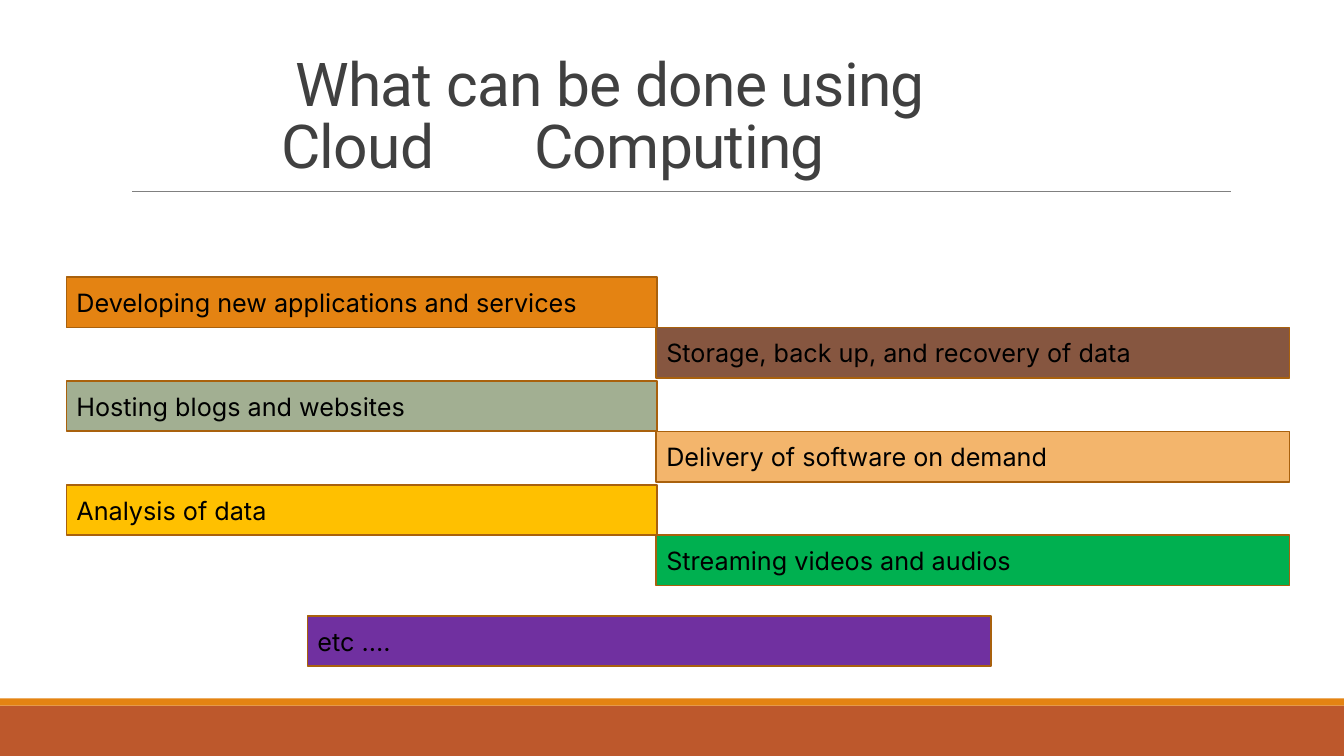
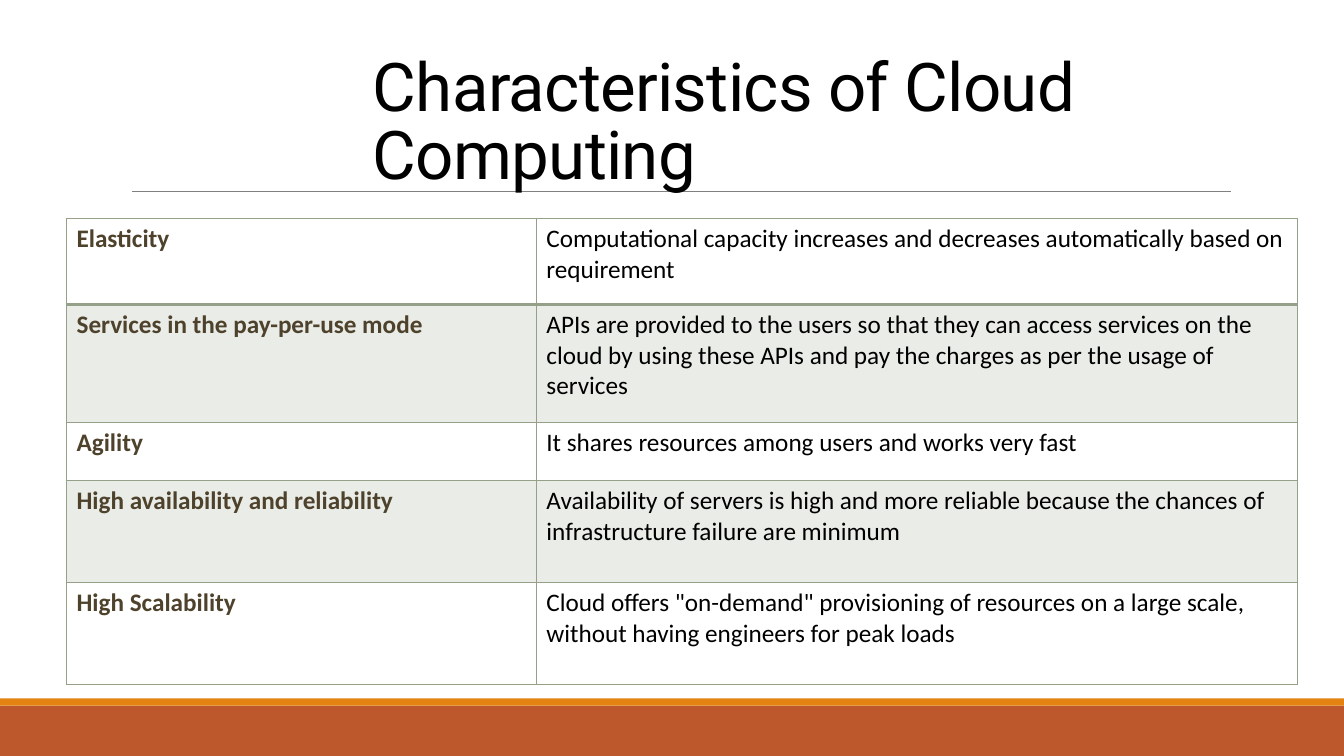
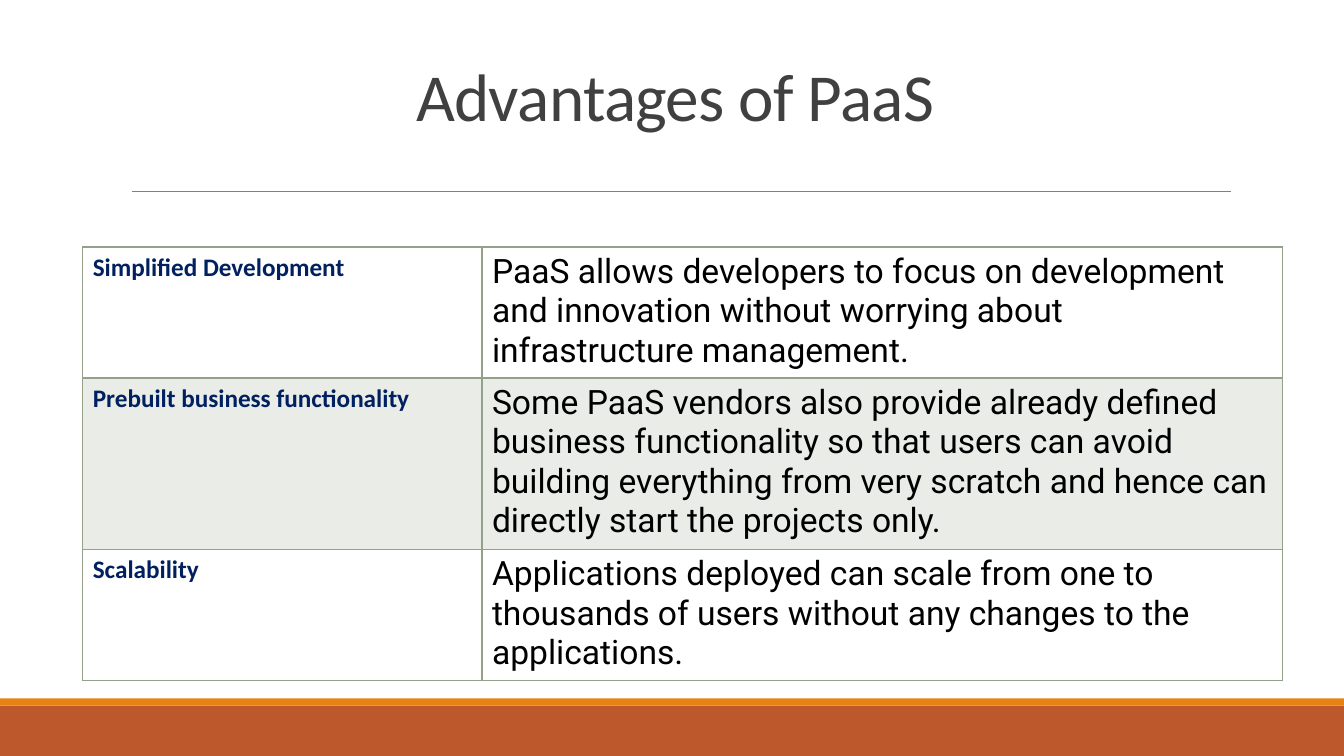
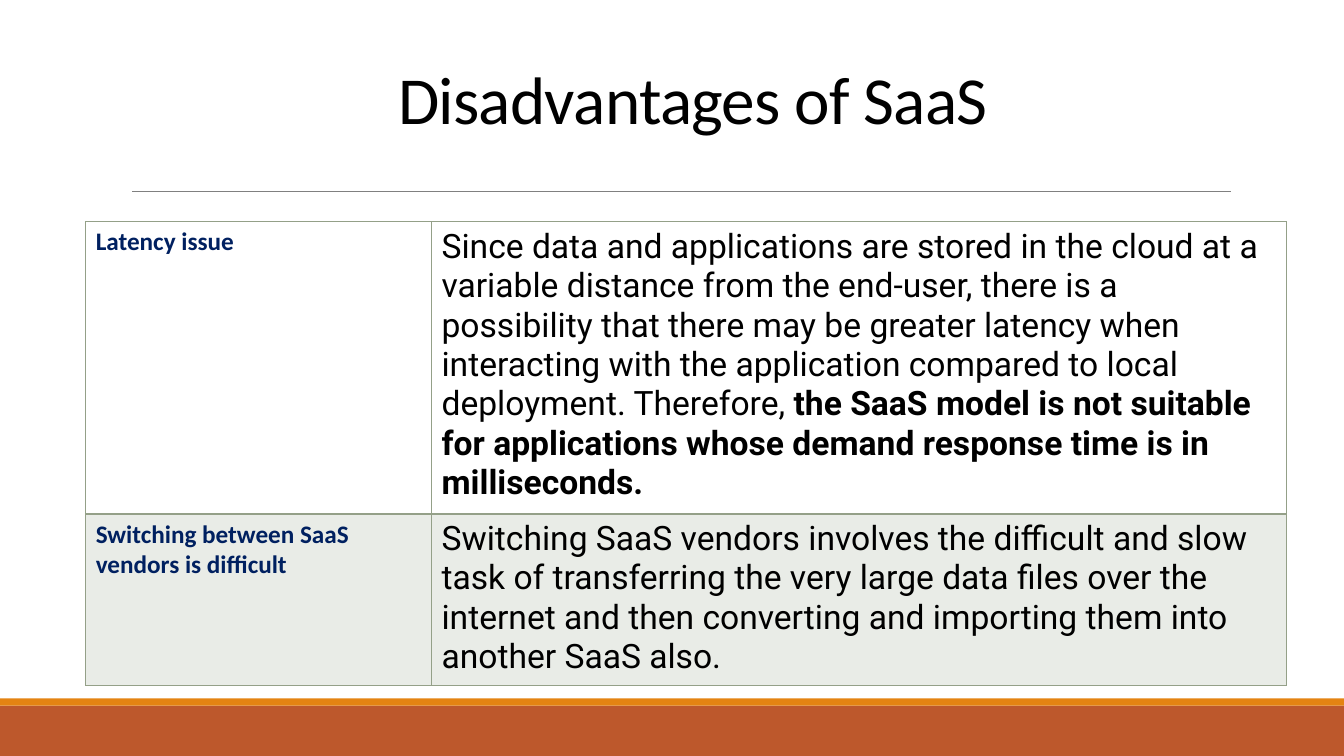
import pptx
import pptx.dml.color
import pptx.enum.shapes
import pptx.enum.text
import pptx.oxml.ns
import pptx.util
import lxml.etree


class Theme:
    # Colours
    black, dark, rule = "000000", "404040", "808080"
    brick, orange, edge = "BD582C", "E48312", "A9610D"
    brown, navy, sage = "4E422C", "002060", "94A088"
    clay, moss, peach = "865640", "A2AF92", "F3B56C"
    gold, green, purple = "FFC000", "00B050", "7030A0"
    # Fonts
    sans, title, label = "Calibri", "Roboto", "Inter"
    # Type sizes, letter spacing and line widths in points
    huge, big, large, small = 48, 43.2, 24, 18
    tight = -0.5
    hair, thin, frame, thick = 0.5, 1, 1.25, 2
    # Opacity of tinted rows, in thousandths of a percent
    veil = 20000


def inches(*sizes):
    return [pptx.util.Inches(size) for size in sizes]


def colour(code):
    return pptx.dml.color.RGBColor.from_string(code)


def child(parent, tag, **values):
    node = lxml.etree.SubElement(parent, pptx.oxml.ns.qn(tag))
    for name, value in values.items():
        node.set(name, str(value))
    return node


class Deck:
    def __init__(self, theme):
        self.theme = theme
        self.file = pptx.Presentation()
        self.file.slide_width, self.file.slide_height = inches(13.33, 7.5)
        self.slide = None

    def start(self):
        """Add a slide with its two bands and the title rule."""
        self.slide = self.file.slides.add_slide(self.file.slide_layouts[6])
        self.block((0, 7, 13.33, 0.5), self.theme.brick)
        self.block((0, 6.93, 13.33, 0.07), self.theme.orange)
        rule = self.slide.shapes.add_connector(
            pptx.enum.shapes.MSO_CONNECTOR.STRAIGHT,
            *inches(1.31, 1.9, 12.21, 1.9))
        rule.line.color.rgb = colour(self.theme.rule)
        rule.line.width = pptx.util.Pt(self.theme.hair)
        child(rule._element.spPr, "a:effectLst")

    def style(self, run, font, size, ink, bold=False, space=0):
        run.font.name = font
        run.font.size = pptx.util.Pt(size)
        run.font.color.rgb = colour(ink)
        run.font.bold = bold
        if space:
            run._r.get_or_add_rPr().set("spc", str(round(space * 100)))

    def block(self, box, fill):
        """Draw a plain filled rectangle."""
        shape = self.slide.shapes.add_shape(
            pptx.enum.shapes.MSO_SHAPE.RECTANGLE, *inches(*box))
        shape.shadow.inherit = False
        shape.fill.solid()
        shape.fill.fore_color.rgb = colour(fill)
        shape.line.fill.background()
        return shape

    def bar(self, text, box, fill):
        """Draw an outlined rectangle with a label."""
        shape = self.block(box, fill)
        shape.line.color.rgb = colour(self.theme.edge)
        shape.line.width = pptx.util.Pt(self.theme.frame)
        shape.text_frame.text = text
        para = shape.text_frame.paragraphs[0]
        para.alignment = pptx.enum.text.PP_ALIGN.JUSTIFY
        self.style(para.runs[0], self.theme.label, self.theme.small,
                   self.theme.black)

    def title(self, text, box, font, size, ink, left=0, first=0,
              gap=0, tail=""):
        """Write a title; a tail follows after one space widened by gap."""
        frame = self.slide.shapes.add_textbox(*inches(*box)).text_frame
        frame.word_wrap = True
        frame.vertical_anchor = pptx.enum.text.MSO_ANCHOR.BOTTOM
        frame.text = text
        para = frame.paragraphs[0]
        para.line_spacing = 0.85
        props = para._p.get_or_add_pPr()
        props.set("marL", str(pptx.util.Inches(left)))
        props.set("indent", str(pptx.util.Inches(first)))
        self.style(para.runs[0], font, size, ink, space=self.theme.tight)
        if tail:
            for part, space in ((" ", gap), (tail, self.theme.tight)):
                run = para.add_run()
                run.text = part
                self.style(run, font, size, ink, space=space)

    def border(self, cell, top, base):
        props = cell._tc.get_or_add_tcPr()
        thin = self.theme.thin
        for side, width in zip("LRTB", (thin, thin, top, base)):
            line = child(props, "a:ln" + side, w=pptx.util.Pt(width))
            child(child(line, "a:solidFill"), "a:srgbClr", val=self.theme.sage)

    def tint(self, cell):
        cell.fill.solid()
        cell.fill.fore_color.rgb = colour(self.theme.sage)
        fill = cell._tc.tcPr.find(pptx.oxml.ns.qn("a:solidFill"))
        child(fill[0], "a:alpha", val=self.theme.veil)

    def table(self, rows, spot, widths, heights, ink, font, size):
        """Each row holds a head, a body and, if need be, a bold ending."""
        theme = self.theme
        grid = self.slide.shapes.add_table(
            len(rows), 2, *inches(*spot, sum(widths), sum(heights))).table
        grid.first_row = grid.horz_banding = False
        for column, width in zip(grid.columns, widths):
            column.width = pptx.util.Inches(width)
        for index, (head, body, *strong) in enumerate(rows):
            grid.rows[index].height = pptx.util.Inches(heights[index])
            # A thick line parts the first row from the second
            top = theme.thick if index == 1 else theme.thin
            base = theme.thick if index == 0 else theme.thin
            left, right = grid.rows[index].cells
            for cell, text in ((left, head), (right, body)):
                cell.text_frame.text = text
                self.border(cell, top, base)
                if index % 2:
                    self.tint(cell)
                else:
                    cell.fill.background()
            self.style(left.text_frame.paragraphs[0].runs[0],
                       theme.sans, theme.small, ink, bold=True)
            for para in right.text_frame.paragraphs:
                self.style(para.runs[0], font, size, theme.black)
            for text in strong:
                run = right.text_frame.paragraphs[0].add_run()
                run.text = text
                self.style(run, font, size, theme.black, bold=True)


theme = Theme()
deck = Deck(theme)

# Slide 1: pairs of bars, the right one starting where the left one ends
deck.start()
deck.title("What can be done using Cloud", (2.69, 0.52, 7.6, 1.32),
           theme.title, theme.big, theme.dark, first=0.14,
           gap=60.7, tail="Computing")
pairs = [
    (("Developing new applications and services", theme.orange),
     ("Storage, back up, and recovery of data", theme.clay)),
    (("Hosting blogs and websites", theme.moss),
     ("Delivery of software on demand", theme.peach)),
    (("Analysis of data", theme.gold),
     ("Streaming videos and audios", theme.green)),
]
tall, pitch = 0.5, 1.03
sides = ((0.66, 5.86), (6.51, 6.28))
for row, pair in enumerate(pairs):
    for step, ((text, fill), (left, width)) in enumerate(zip(pair, sides)):
        top = 2.75 + row * pitch + step * tall
        deck.bar(text, (left, top, width, tall), fill)
deck.bar("etc ….", (3.05, 6.11, 6.78, tall), theme.purple)

# Slide 2: traits of the cloud
deck.start()
deck.title("Characteristics of Cloud Computing", (3.6, 0.38, 7.38, 1.59),
           theme.title, theme.huge, theme.black)
traits = [
    ("Elasticity",
     "Computational capacity increases and decreases automatically based on\n"
     "requirement"),
    ("Services in the pay-per-use mode",
     "APIs are provided to the users so that they can access services on the "
     "cloud by using these APIs and pay the charges as per the usage of "
     "services"),
    ("Agility", "It shares resources among users and works very fast"),
    ("High availability and reliability",
     "Availability of servers is high and more reliable because the chances "
     "of infrastructure failure are minimum"),
    ("High Scalability",
     "Cloud offers \"on-demand\" provisioning of resources on a large scale, "
     "without having engineers for peak loads"),
]
deck.table(traits, (0.66, 2.17), (4.66, 7.55), (0.85, 1.17, 0.58, 1.01, 1.01),
           theme.brown, theme.sans, theme.small)

# Slide 3: gains of PaaS
deck.start()
deck.title("Advantages of PaaS", (1.03, 0.53, 11, 0.86),
           theme.sans, theme.huge, theme.dark, left=3)
gains = [
    ("Simplified Development",
     "PaaS allows developers to focus on development and innovation without "
     "worrying about infrastructure management."),
    ("Prebuilt business functionality",
     "Some PaaS vendors also provide already defined business functionality "
     "so that users can avoid building everything from very scratch and "
     "hence can directly start the projects only."),
    ("Scalability",
     "Applications deployed can scale from one to thousands of users without "
     "any changes to the applications."),
]
deck.table(gains, (0.82, 2.45), (3.96, 7.94), (1.24, 1.25, 1.24),
           theme.navy, theme.title, theme.large)

# Slide 4: limits of SaaS
deck.start()
deck.title("Disadvantages of SaaS", (0.85, 0.41, 11, 1.01),
           theme.sans, theme.huge, theme.black, left=3)
limits = [
    ("Latency issue",
     "Since data and applications are stored in the cloud at a variable "
     "distance from the end-user, there is a possibility that there may be "
     "greater latency when interacting with the application compared to "
     "local deployment. Therefore, ",
     "the SaaS model is not suitable for applications whose demand response "
     "time is in milliseconds."),
    ("Switching between SaaS vendors is difficult",
     "Switching SaaS vendors involves the difficult and slow task of "
     "transferring the very large data files over the internet and then "
     "converting and importing them into another SaaS also."),
]
deck.table(limits, (0.85, 2.2), (3.43, 8.48), (1.46, 1.46),
           theme.navy, theme.title, theme.large)

deck.file.save("out.pptx")
